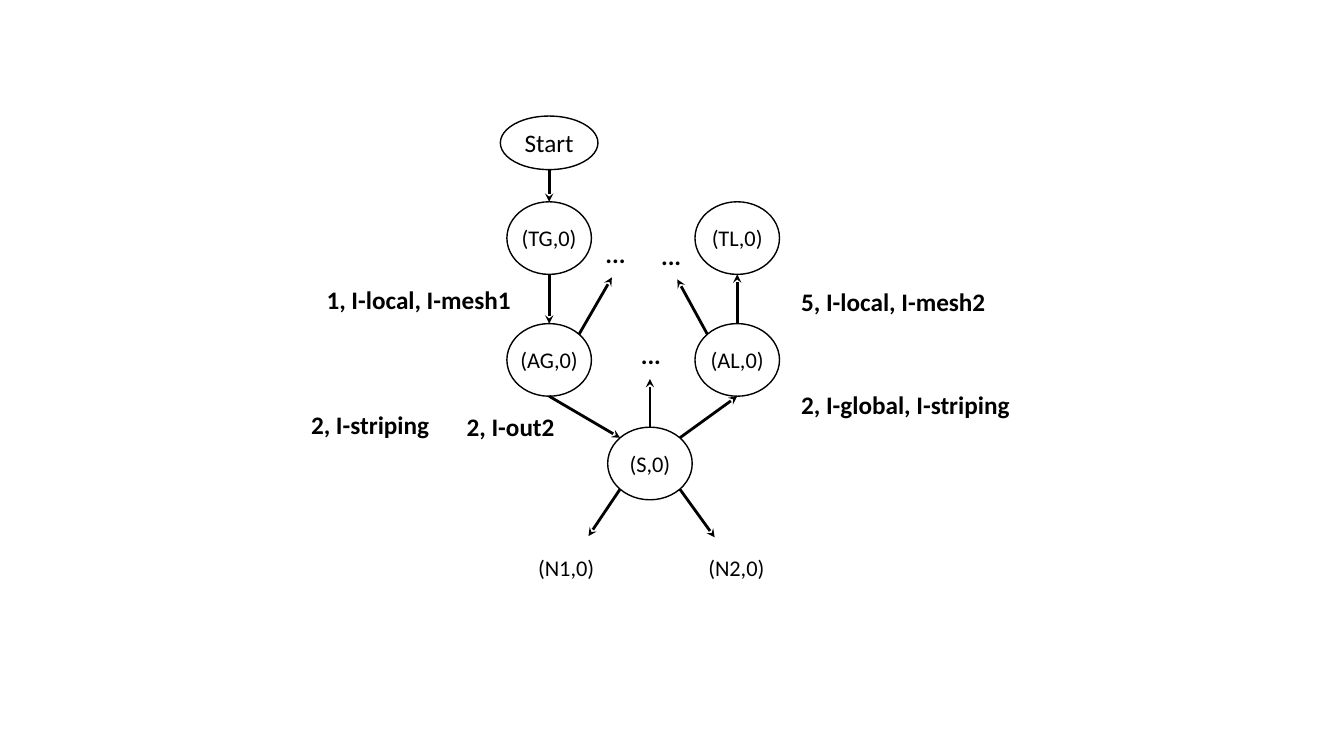
from math import sqrt

from lxml import etree
from pptx import Presentation
from pptx.dml.color import RGBColor
from pptx.enum.shapes import MSO_CONNECTOR, MSO_SHAPE
from pptx.enum.text import MSO_ANCHOR, PP_ALIGN
from pptx.oxml.ns import qn
from pptx.util import Cm, Pt

OVAL = MSO_SHAPE.OVAL
STRAIGHT = MSO_CONNECTOR.STRAIGHT
MIDDLE = MSO_ANCHOR.MIDDLE
CENTER = PP_ALIGN.CENTER
BLACK = RGBColor(0, 0, 0)
WHITE = RGBColor(255, 255, 255)
FONT = "Calibri"

prs = Presentation()
prs.slide_width, prs.slide_height = Cm(33.87), Cm(19.05)
s = prs.slides.add_slide(prs.slide_layouts[6])


def set_text(tf, text, size, bold=False):
    tf.text = text
    font = tf.paragraphs[0].runs[0].font
    font.name, font.size, font.bold = FONT, Pt(size), bold
    font.color.rgb = BLACK


def rim(name, dx, dy):
    """Point on a node's outline in direction (dx, dy), each -1, 0 or 1."""
    x, y, w, h = nodes[name]
    k = 2 * sqrt(dx * dx + dy * dy)
    return x + dx * w / k, y + dy * h / k


# Nodes: centre x, centre y, width, height in cm
LEFT_X, MID_X, RIGHT_X = 13.84, 16.38, 18.58
TOP_Y, AGG_Y, S_Y = 6.0, 9.07, 11.68
NODE_W, NODE_H = 2.13, 1.83
nodes = {
    "Start": (LEFT_X, 3.6, 2.46, 1.35),
    "(S,0)": (MID_X, S_Y, NODE_W, NODE_H),
    "(AL,0)": (RIGHT_X, AGG_Y, NODE_W, NODE_H),
    "(AG,0)": (LEFT_X, AGG_Y, NODE_W, NODE_H),
    "(TL,0)": (RIGHT_X, TOP_Y, NODE_W, NODE_H),
    "(TG,0)": (LEFT_X, TOP_Y, NODE_W, NODE_H),
}
ovals = {}
for name, (x, y, w, h) in nodes.items():
    sp = s.shapes.add_shape(OVAL, Cm(x - w / 2), Cm(y - h / 2), Cm(w), Cm(h))
    sp.shadow.inherit = False
    sp.fill.solid()
    sp.fill.fore_color.rgb = WHITE
    sp.line.color.rgb = BLACK
    sp.line.width = Pt(1)
    tf = sp.text_frame
    tf.word_wrap = False
    tf.vertical_anchor = MIDDLE
    set_text(tf, name, 18 if name == "Start" else 16)
    tf.paragraphs[0].alignment = CENTER
    ovals[name] = sp

# Arrows: start point, end point, node whose top begins it, node whose top ends it
arrows = [
    (rim("Start", 0, 1), rim("(TG,0)", 0, -1), None, "(TG,0)"),
    (rim("(TG,0)", 0, 1), rim("(AG,0)", 0, -1), None, "(AG,0)"),
    (rim("(AG,0)", 0, 1), rim("(S,0)", -1, -1), None, None),
    (rim("(AG,0)", 1, -1), (15.42, 6.99), None, None),
    (rim("(S,0)", 0, -1), (MID_X, 9.55), "(S,0)", None),
    (rim("(S,0)", 1, -1), rim("(AL,0)", 0, 1), None, None),
    (rim("(S,0)", -1, 1), (14.83, 13.51), None, None),
    (rim("(S,0)", 1, 1), (18.01, 13.54), None, None),
    (rim("(AL,0)", 0, -1), rim("(TL,0)", 0, 1), "(AL,0)", None),
    (rim("(AL,0)", -1, -1), (17.07, 7.04), None, None),
]
for (x1, y1), (x2, y2), begin, end in arrows:
    c = s.shapes.add_connector(STRAIGHT, Cm(x1), Cm(y1), Cm(x2), Cm(y2))
    if begin:
        c.begin_connect(ovals[begin], 0)
    if end:
        c.end_connect(ovals[end], 0)
    c.line.color.rgb = BLACK
    c.line.width = Pt(2)
    etree.SubElement(c.line._get_or_add_ln(), qn("a:tailEnd"), type="stealth")
    etree.SubElement(c._element.spPr, qn("a:effectLst"))

# Labels: text, left, top, width in cm, size, bold
labels = [
    ("1, I-local, I-mesh1", 7.98, 7.04, 5.18, 18, True),
    ("2, I-striping", 7.59, 10.19, 3.51, 18, True),
    ("2, I-out2", 11.51, 10.24, 2.74, 18, True),
    ("2, I-global, I-striping", 19.94, 9.68, 5.82, 18, True),
    ("5, I-local, I-mesh2", 19.94, 7.09, 5.18, 18, True),
    ("...", 15.01, 5.89, 1.32, 18, True),
    ("...", 15.9, 8.43, 1.32, 18, True),
    ("...", 16.41, 5.92, 1.32, 18, True),
    ("(N1,0)", 13.31, 13.84, 1.96, 16, False),
    ("(N2,0)", 17.6, 13.84, 1.96, 16, False),
]
for text, x, y, w, size, bold in labels:
    h = 1.02 if size == 18 else 0.94
    tf = s.shapes.add_textbox(Cm(x), Cm(y), Cm(w), Cm(h)).text_frame
    tf.word_wrap = text == "..."
    set_text(tf, text, size, bold)

prs.save("out.pptx")
